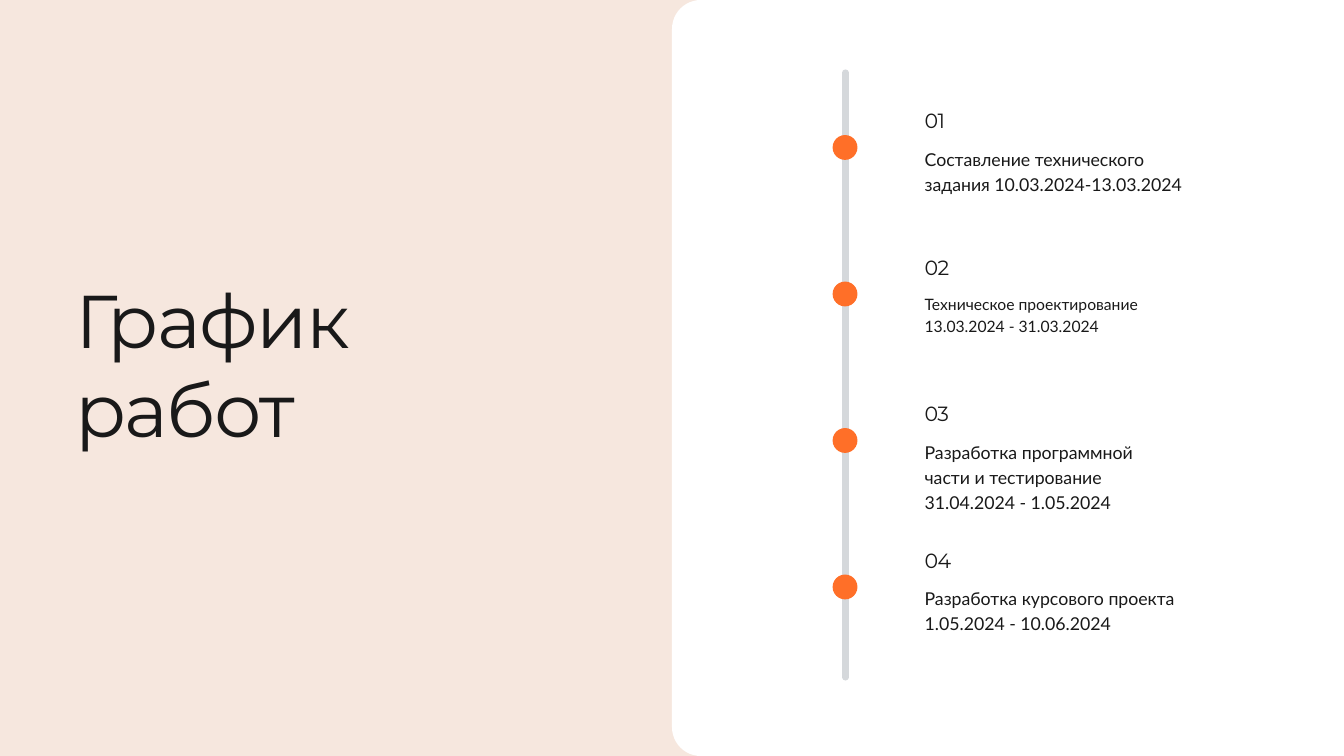
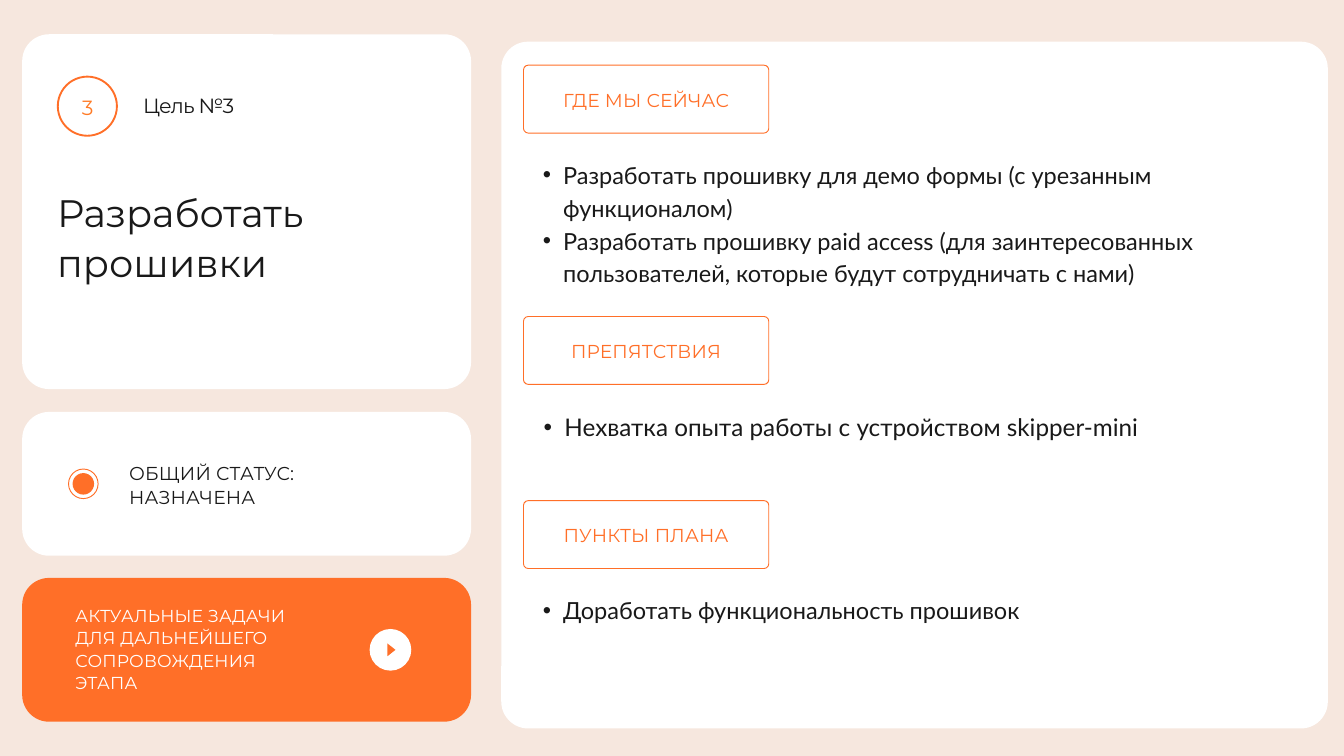
from lxml import etree
from pptx import Presentation
from pptx.dml.color import RGBColor
from pptx.enum.shapes import MSO_CONNECTOR, MSO_SHAPE
from pptx.enum.text import MSO_ANCHOR, MSO_AUTO_SIZE, PP_ALIGN
from pptx.oxml.ns import qn
from pptx.util import Inches, Pt

OVAL = MSO_SHAPE.OVAL
ROUNDED = MSO_SHAPE.ROUNDED_RECTANGLE
TRIANGLE = MSO_SHAPE.ISOSCELES_TRIANGLE
STRAIGHT = MSO_CONNECTOR.STRAIGHT
LEFT, CENTER = PP_ALIGN.LEFT, PP_ALIGN.CENTER

COLORS = {"sand": "F6E7DE", "white": "FFFFFF", "orange": "FF6F28",
          "badge": "FF7B26", "ink": "191919", "rail": "D5D8DB"}

# name: (font, size, line spacing, letter spacing in 1/100 pt)
STYLES = {
    "title": ("Montserrat", 80, 96, -160),
    "goal": ("Montserrat", 41, 53.3, 0),
    "number": ("Montserrat", 22, 28.6, -70),
    "label": ("Montserrat", 20, 26, 20),
    "button": ("Montserrat", 18.5, 24.1, 20),
    "step": ("Lato", 19, 26.6, 0),
    "step_small": ("Lato", 16.8, 23.4, 0),
    "list": ("Lato", 25.2, 35.3, 0),
    "list_large": ("Lato", 26, 36.4, 0),
}


def rgb(name):
    return RGBColor.from_string(COLORS[name])


class Deck:
    def __init__(self):
        self.prs = Presentation()
        self.prs.slide_width, self.prs.slide_height = Inches(20), Inches(11.25)
        fill = self.prs.slide_master.background.fill
        fill.solid()
        fill.fore_color.rgb = rgb("sand")

    def slide(self, layout):
        self.s = self.prs.slides.add_slide(self.prs.slide_layouts[layout])
        self.bodies = [p for p in self.s.placeholders
                       if p.placeholder_format.idx > 0]

    def shape(self, kind, box, fill=None, line=None, width=1, radius=None):
        sp = self.s.shapes.add_shape(kind, *map(Inches, box))
        sp.shadow.inherit = False
        if fill:
            sp.fill.solid()
            sp.fill.fore_color.rgb = rgb(fill)
        else:
            sp.fill.background()
        if line:
            sp.line.color.rgb = rgb(line)
            sp.line.width = Pt(width)
        else:
            sp.line.fill.background()
        if radius:
            sp.adjustments[0] = radius / min(box[2:])
        return sp

    def card(self, box, fill="white", radius=0.4):
        return self.shape(ROUNDED, box, fill, radius=radius)

    def rail(self, x, top, bottom):
        cn = self.s.shapes.add_connector(
            STRAIGHT, *map(Inches, (x, top, x, bottom)))
        cn.line.color.rgb = rgb("rail")
        cn.line.width = Pt(6.75)
        cn.line._get_or_add_ln().set("cap", "rnd")
        etree.SubElement(cn._element.spPr, qn("a:effectLst"))

    def fill_text(self, sp, box, lines, style, color, align, indent):
        for name, value in zip(("left", "top", "width", "height"), box):
            setattr(sp, name, Inches(value))
        tf = sp.text_frame
        frame = {"margin_left": 0, "margin_top": 0, "margin_right": 0,
                 "margin_bottom": 0, "word_wrap": True,
                 "auto_size": MSO_AUTO_SIZE.NONE,
                 "vertical_anchor": MSO_ANCHOR.TOP}
        for name, value in frame.items():
            setattr(tf, name, value)
        face, size, spacing, tracking = STYLES[style]
        paragraph = {"alignment": align, "line_spacing": Pt(spacing),
                     "space_before": Pt(0), "space_after": Pt(0)}
        font = {"name": face, "size": Pt(size), "bold": False}
        for i, line in enumerate(lines):
            p = tf.add_paragraph() if i else tf.paragraphs[0]
            if indent:
                self.bullet(p, indent)
            for name, value in paragraph.items():
                setattr(p, name, value)
            r = p.add_run()
            r.text = line
            for name, value in font.items():
                setattr(r.font, name, value)
            r.font.color.rgb = rgb(color)
            r._r.get_or_add_rPr().set("spc", str(tracking))

    def bullet(self, p, indent):
        pPr = p._p.get_or_add_pPr()
        pPr.set("marL", str(Inches(2 * indent)))
        pPr.set("indent", str(-Inches(indent)))
        pPr.set("lvl", "1")
        etree.SubElement(pPr, qn("a:buFont")).set("typeface", "Arial")
        etree.SubElement(pPr, qn("a:buChar")).set("char", "•")

    def text(self, box, lines, style, color="ink", align=LEFT):
        sp = self.s.shapes.add_textbox(0, 0, 0, 0)
        self.fill_text(sp, box, lines, style, color, align, 0)

    def placeholder(self, sp, box, lines, style, indent=0):
        sp._element.getparent().append(sp._element)
        self.fill_text(sp, box, lines, style, "ink", LEFT, indent)

    def title(self, box, text, style):
        self.placeholder(self.s.shapes.title, box, [text], style)

    def bullets(self, box, lines, style, indent):
        self.placeholder(self.bodies.pop(0), box, lines, style, indent)

    def tag(self, top, text):
        self.shape(ROUNDED, (7.79, top + 0.01, 3.65, 1.01),
                   line="orange", radius=0.07)
        self.text((8.08, top + 0.33, 3.07, 0.35), [text], "label",
                  "orange", CENTER)

    def drop_empty(self):
        for sp in self.bodies:
            sp._element.getparent().remove(sp._element)


def schedule(deck):
    steps = [
        (["Составление технического задания 10.03.2024-13.03.2024"],
         "step", 4.14, 0.71),
        (["Техническое проектирование 13.03.2024 - 31.03.2024"],
         "step_small", 3.73, 0.63),
        (["Разработка программной части и тестирование",
          "31.04.2024 - 1.05.2024"], "step", 3.73, 1.07),
        (["Разработка курсового проекта 1.05.2024 - 10.06.2024"],
         "step", 3.73, 1.07),
    ]
    deck.slide(5)
    deck.card((10, 0, 10.61, 11.25), radius=0.43)
    deck.rail(12.58, 1.08, 10.08)
    for i, (lines, style, width, height) in enumerate(steps):
        top = 1.58 + 2.18 * i
        deck.shape(OVAL, (12.39, top + 0.43, 0.37, 0.37), "orange")
        deck.text((13.76, top, width, 0.38), [f"{i + 1:02}"], "number")
        deck.text((13.76, top + 0.58, width, height), lines, style)
    deck.title((1.12, 4.07, 6.21, 2.67), "График работ", "title")
    deck.drop_empty()


def goal(deck):
    sections = [
        (0.96, "ГДЕ МЫ СЕЙЧАС",
         ["Разработать прошивку для демо формы (с урезанным функционалом)",
          "Разработать прошивку paid access (для заинтересованных "
          "пользователей, которые будут сотрудничать с нами)"],
         "list", 0.3, 1.95),
        (4.7, "ПРЕПЯТСТВИЯ",
         ["Нехватка опыта работы с устройством skipper-mini"],
         "list_large", 0.31, 0.49),
        (7.44, "ПУНКТЫ ПЛАНА",
         ["Доработать функциональность прошивок"], "list", 0.3, 0.48),
    ]
    deck.slide(4)
    for top, height, fill in [(0.51, 5.28, "white"), (6.13, 2.14, "white"),
                              (8.6, 2.14, "orange")]:
        deck.card((0.33, top, 6.68, height), fill)
    deck.card((7.46, 0.62, 12.3, 10.22))

    deck.shape(OVAL, (0.86, 1.14, 0.88, 0.88), line="orange", width=2)
    deck.text((1.05, 1.38, 0.51, 0.38), ["3"], "number", "badge", CENTER)
    deck.text((2.13, 1.36, 3.1, 0.39), ["Цель №3"], "number")
    deck.title((0.85, 2.76, 5.64, 1.46), "Разработать прошивки", "goal")

    deck.shape(OVAL, (1.02, 6.98, 0.44, 0.44), line="orange")
    deck.shape(OVAL, (1.08, 7.04, 0.32, 0.32), "orange")
    deck.text((1.92, 6.84, 3.07, 0.7), ["ОБЩИЙ СТАТУС: НАЗНАЧЕНА"], "label")

    deck.shape(OVAL, (5.5, 9.36, 0.62, 0.62), "white")
    deck.shape(TRIANGLE, (5.73, 9.61, 0.19, 0.12), "orange").rotation = 90
    deck.text((1.12, 8.98, 3.31, 1.34),
              ["АКТУАЛЬНЫЕ ЗАДАЧИ ДЛЯ ДАЛЬНЕЙШЕГО СОПРОВОЖДЕНИЯ ЭТАПА"],
              "button", "white")

    for top, name, lines, style, indent, height in sections:
        deck.tag(top, name)
        deck.bullets((7.78, top + 1.36, 11.4, height), lines, style, indent)
    deck.drop_empty()


def main():
    deck = Deck()
    schedule(deck)
    goal(deck)
    deck.prs.save("out.pptx")


if __name__ == "__main__":
    main()
